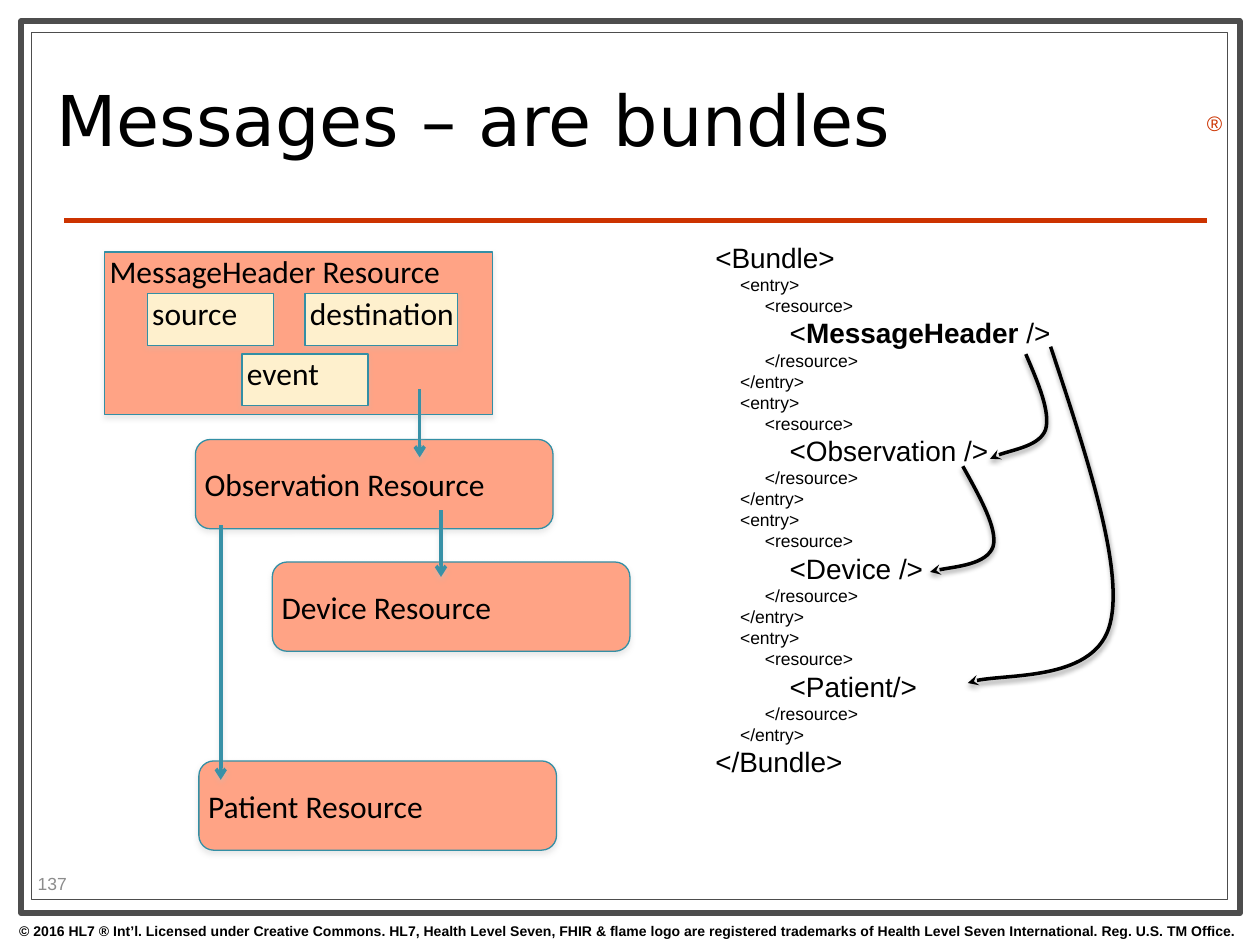
from lxml import etree
from pptx import Presentation
from pptx.dml.color import RGBColor
from pptx.enum import shapes, text
from pptx.oxml import ns
from pptx.util import Cm, Pt


def color(value):
    return RGBColor.from_string(value)


def add_effects(shape, shadow=None, opacity=35):
    effects = etree.SubElement(shape._element.spPr, ns.qn("a:effectLst"))
    if shadow:
        outer = etree.SubElement(
            effects, ns.qn("a:outerShdw"), blurRad=str(Pt(3)), dist=str(Pt(1.7)),
            dir="5400000", rotWithShape="0")
        tint = etree.SubElement(outer, ns.qn("a:srgbClr"), val=shadow)
        etree.SubElement(tint, ns.qn("a:alpha"), val=str(opacity * 1000))


deck = Presentation()
deck.slide_width, deck.slide_height = Cm(25.4), Cm(19.05)
page = deck.slides.add_slide(deck.slide_layouts[6])
AUTO = shapes.MSO_SHAPE
MIDDLE, TOP = text.MSO_ANCHOR.MIDDLE, text.MSO_ANCHOR.TOP

for left, top, width, height, weight in [
    (0.43, 0.43, 24.56, 17.98, 3.5),
    (0.64, 0.66, 24.1, 17.48, 0.75),
]:
    frame = page.shapes.add_shape(AUTO.RECTANGLE, Cm(left), Cm(top), Cm(width), Cm(height))
    frame.shadow.inherit = False
    frame.fill.solid()
    frame.fill.fore_color.rgb = color("FFFFFF")
    frame.line.color.rgb = color("4D4D4D")
    frame.line.width = Pt(weight)

rule = page.shapes.add_connector(
    shapes.MSO_CONNECTOR.STRAIGHT, Cm(1.3), Cm(4.45), Cm(24.33), Cm(4.45))
rule.line.color.rgb = color("CC3300")
rule.line.width = Pt(3)
add_effects(rule)

copyright_line = (
    "© 2016 HL7 ® Int’l. Licensed under Creative Commons. HL7, Health Level Seven, "
    "FHIR & flame logo are registered trademarks of Health Level Seven International. "
    "Reg. U.S. TM Office.")
for words, left, top, width, height, font, size, ink, anchor in [
    (copyright_line, -0.03, 18.47, 25.4, 0.58, "Arial", 8, "000000", TOP),
    ("®", 24.08, 2.11, 0.79, 0.76, "Arial", 12, "CC3300", TOP),
    ("Messages – are bundles", 0.89, 0.91, 18.21, 3.28, "DejaVu Sans", 40, "000000", MIDDLE),
    ("137", 0.51, 17.5, 2.01, 0.61, "Arial", 10, "8C8C8C", MIDDLE),
]:
    box = page.shapes.add_textbox(Cm(left), Cm(top), Cm(width), Cm(height))
    box.text_frame.text = words
    box.text_frame.word_wrap = words != "®"
    box.text_frame.vertical_anchor = anchor
    para = box.text_frame.paragraphs[0]
    if words == copyright_line:
        para.alignment = text.PP_ALIGN.CENTER
        para.font.bold = True
    if size == 40:
        para.line_spacing = 0.8
    span = para.runs[0]
    span.font.name, span.font.size = font, Pt(size)
    span.font.color.rgb = color(ink)

code = [(0, ["<Bundle>"])]
for resource in [
    ["<", "MessageHeader", " />"], ["<Observation />"], ["<Device />"], ["<Patient/>"],
]:
    code += [(1, ["<entry>"]), (2, ["<resource>"]), (3, resource),
             (2, ["</resource>"]), (1, ["</entry>"])]
code.append((0, ["</Bundle>"]))

listing = page.shapes.add_textbox(Cm(14.17), Cm(4.72), Cm(7.34), Cm(11.2)).text_frame
listing.word_wrap = False
for index, (depth, pieces) in enumerate(code):
    para = listing.add_paragraph() if index else listing.paragraphs[0]
    tabs = etree.SubElement(para._p.get_or_add_pPr(), ns.qn("a:tabLst"))
    for stop in range(1, 5):
        etree.SubElement(tabs, ns.qn("a:tab"), pos=str(Cm(stop * 0.5)), algn="l")
    for position, piece in enumerate(pieces):
        span = para.add_run()
        span.text = piece if position else "\t" * depth + piece
        span.font.name = "Arial"
        span.font.size = Pt(16 if depth in (0, 3) else 10)
        span.font.bold = piece == "MessageHeader"
        span.font.color.rgb = color("000000")

SALMON, CREAM = "FFA385", "FEF0CD"
for words, kind, left, top, width, height, fill in [
    ("Observation Resource", AUTO.ROUNDED_RECTANGLE, 3.94, 8.86, 7.21, 1.8, SALMON),
    ("MessageHeader Resource", AUTO.RECTANGLE, 2.11, 5.08, 7.82, 3.28, SALMON),
    ("source", AUTO.RECTANGLE, 2.97, 5.92, 2.54, 1.04, CREAM),
    ("destination", AUTO.RECTANGLE, 6.15, 5.92, 3.07, 1.04, CREAM),
    ("Device Resource", AUTO.ROUNDED_RECTANGLE, 5.49, 11.33, 7.21, 1.8, SALMON),
    ("Patient Resource", AUTO.ROUNDED_RECTANGLE, 4.01, 15.34, 7.21, 1.8, SALMON),
    ("event", AUTO.RECTANGLE, 4.88, 7.14, 2.54, 1.04, CREAM),
]:
    box = page.shapes.add_shape(kind, Cm(left), Cm(top), Cm(width), Cm(height))
    box.fill.solid()
    box.fill.fore_color.rgb = color(fill)
    box.line.color.rgb = color("338FA5")
    box.line.width = Pt(0.75)
    add_effects(box, "C0C0C0")
    body = box.text_frame
    body.text = words
    body.margin_left = Cm(0.1)
    body.margin_top = body.margin_right = body.margin_bottom = 0
    body.vertical_anchor = MIDDLE if kind == AUTO.ROUNDED_RECTANGLE else TOP
    body.paragraphs[0].alignment = text.PP_ALIGN.LEFT
    span = body.paragraphs[0].runs[0]
    span.font.name, span.font.size = "Calibri", Pt(18)
    span.font.color.rgb = color("000000")

for x, start, end in [(8.46, 7.85, 9.22), (8.89, 10.29, 11.63), (4.45, 10.59, 15.72)]:
    arrow = page.shapes.add_connector(
        shapes.MSO_CONNECTOR.STRAIGHT, Cm(x), Cm(start), Cm(x), Cm(end))
    arrow.line.color.rgb = color("3891A7")
    arrow.line.width = Pt(2)
    etree.SubElement(arrow.line._get_or_add_ln(), ns.qn("a:tailEnd"), type="arrow")
    add_effects(arrow, "C0C0C0", 38)

for points in [
    [(20.68, 7.14), (20.93, 7.72), (21.18, 8.31), (21.08, 8.66),
     (20.96, 8.99), (20.14, 9.12), (19.96, 9.25)],
    [(21.18, 6.99), (21.92, 9.22), (22.66, 11.46), (22.38, 12.57),
     (22.1, 13.72), (19.99, 13.56), (19.51, 13.77)],
    [(19.41, 9.4), (19.76, 10.03), (20.12, 10.67), (20.02, 11.02),
     (19.89, 11.38), (18.95, 11.46), (18.75, 11.53)],
]:
    corners = [(Cm(x), Cm(y)) for x, y in points]
    builder = page.shapes.build_freeform(*corners[0])
    builder.add_line_segments(corners[1:], close=False)
    curve = builder.convert_to_shape()
    segments = list(curve._element.iter(ns.qn("a:lnTo")))
    outline = segments[0].getparent()
    for first in range(0, len(segments), 3):
        bend = etree.SubElement(outline, ns.qn("a:cubicBezTo"))
        for segment in segments[first:first + 3]:
            bend.append(segment[0])
            outline.remove(segment)
    curve.fill.background()
    curve.line.color.rgb = color("000000")
    curve.line.width = Pt(2)
    etree.SubElement(curve.line._get_or_add_ln(), ns.qn("a:tailEnd"), type="stealth")
    add_effects(curve, "000000", 38)

deck.save("out.pptx")
